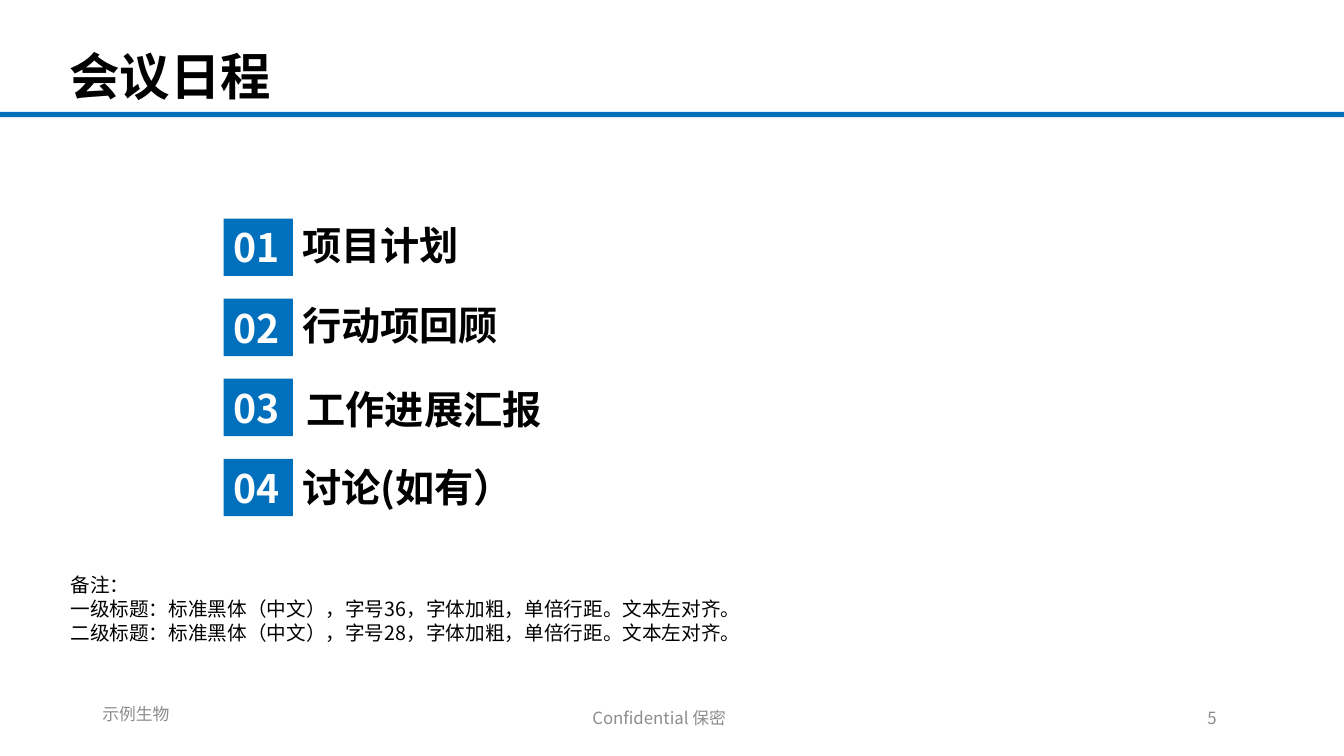
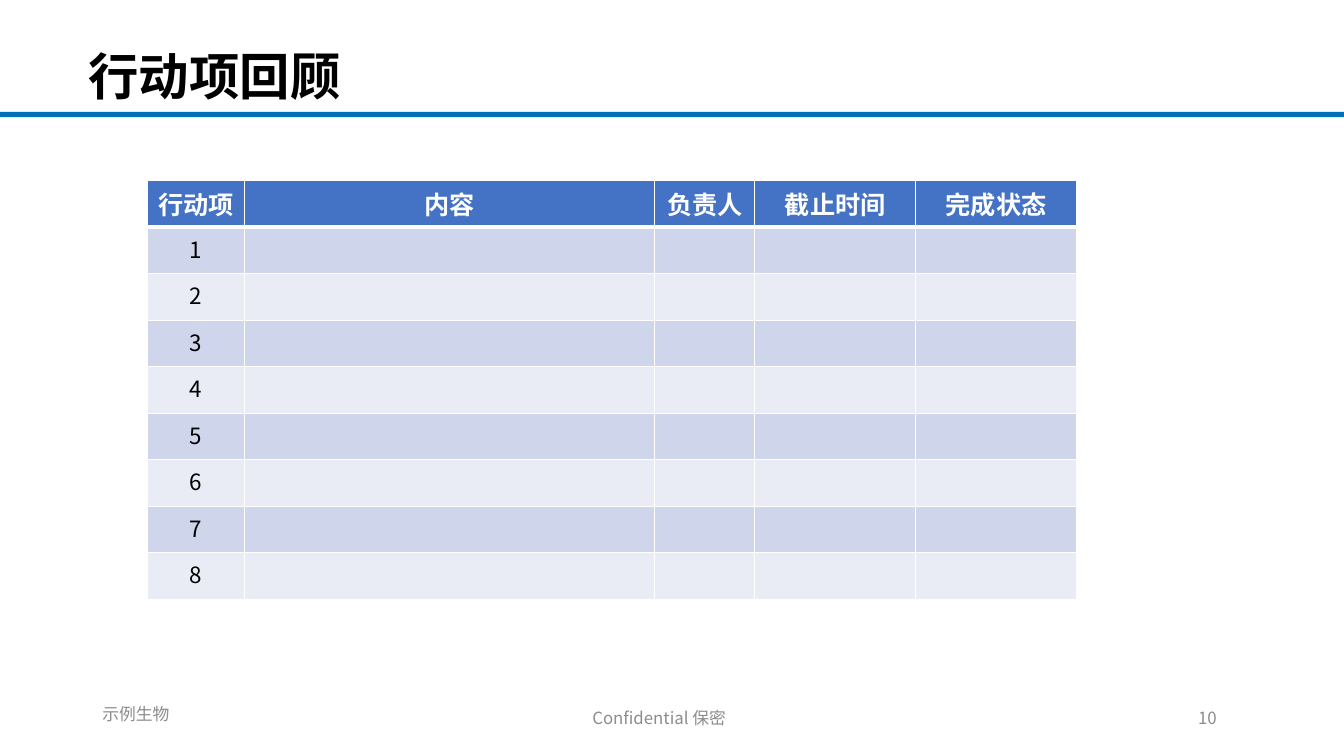
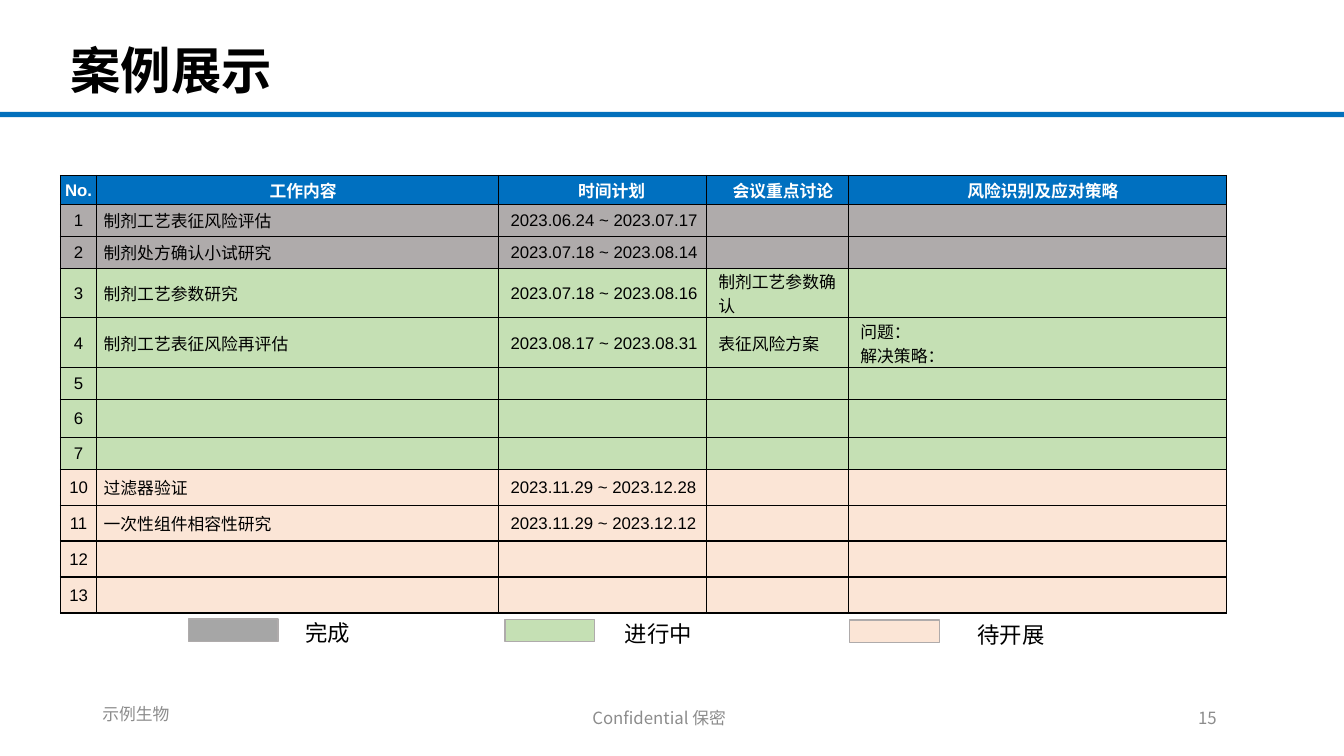
from lxml import etree
from pptx import Presentation
from pptx.dml.color import RGBColor
from pptx.enum import shapes, text
from pptx.oxml import ns
from pptx.util import Pt

COLORS = {
    "bar": "0370BC", "tag": "006FBC", "black": "000000", "white": "FFFFFF",
    "footer": "8C8C8C", "action_head": "4472C4", "band_dark": "CFD5EA",
    "band_light": "E9EBF5", "case_head": "0070C0", "done_row": "AFABAB",
    "done": "A6A6A6", "active": "C5E0B4", "pending": "FBE5D6",
}
CJK, LATIN = "Noto Sans CJK SC", "Arial"
LEFT, CENTER, RIGHT = text.PP_ALIGN.LEFT, text.PP_ALIGN.CENTER, text.PP_ALIGN.RIGHT
TOP, MIDDLE = text.MSO_ANCHOR.TOP, text.MSO_ANCHOR.MIDDLE
WIDTH, HEIGHT = 960, 540

AGENDA = [
    ("项目计划", 0, -1), ("行动项回顾", 0, -0.5),
    ("工作进展汇报", 3.2, 2), ("讨论(如有）", 0, 0.3),
]
NOTE = (
    "备注：\n"
    "一级标题：标准黑体（中文），字号36，字体加粗，单倍行距。文本左对齐。\n"
    "二级标题：标准黑体（中文），字号28，字体加粗，单倍行距。文本左对齐。"
)
ACTION_HEAD = ["行动项", "内容", "负责人", "截止时间", "完成状态"]
CASE_HEAD = ["No.", "工作内容", "时间计划", "会议重点讨论", "风险识别及应对策略"]
CASES = [
    ("done_row", 22.8, "1", "制剂工艺表征风险评估", "2023.06.24 ~ 2023.07.17"),
    ("done_row", 22.8, "2", "制剂处方确认小试研究", "2023.07.18 ~ 2023.08.14"),
    ("active", 35.5, "3", "制剂工艺参数研究", "2023.07.18 ~ 2023.08.16", "制剂工艺参数确认"),
    ("active", 35.5, "4", "制剂工艺表征风险再评估", "2023.08.17 ~ 2023.08.31",
     "表征风险方案", "问题：\n解决策略："),
    ("active", 22.8, "5"),
    ("active", 27, "6"),
    ("active", 22.8, "7"),
    ("pending", 25.7, "10", "过滤器验证", "2023.11.29 ~ 2023.12.28"),
    ("pending", 25.7, "11", "一次性组件相容性研究", "2023.11.29 ~ 2023.12.12"),
    ("pending", 25.7, "12"),
    ("pending", 25.7, "13"),
]
LEGEND = [
    ("完成", "done", 134.6, 211, 0), ("进行中", "active", 360.7, 439.2, 0.7),
    ("待开展", "pending", 607, 691.2, 1.4),
]


def rgb(name):
    """Return the named colour."""
    return RGBColor.from_string(COLORS[name])


def points(values):
    """Convert numbers to point lengths."""
    return [Pt(value) for value in values]


def write(frame, content, size=12, color="black", bold=False, font=CJK, align=LEFT, spacing=None):
    """Fill a text frame, one paragraph for each line of content."""
    for index, line in enumerate(content.split("\n")):
        paragraph = frame.add_paragraph() if index else frame.paragraphs[0]
        paragraph.alignment = align
        if spacing:
            paragraph.line_spacing = spacing
        if not line:
            etree.SubElement(paragraph._p, ns.qn("a:endParaRPr"), sz=str(size * 100))
            continue
        run = paragraph.add_run()
        run.text = line
        run.font.size, run.font.bold, run.font.name = Pt(size), bold, font
        run.font.color.rgb = rgb(color)
        etree.SubElement(run.font._element, ns.qn("a:ea"), typeface=CJK)


def label(slide, box, content, anchor=MIDDLE, **style):
    """Place a wrapped text box."""
    frame = slide.shapes.add_textbox(*points(box)).text_frame
    frame.word_wrap, frame.vertical_anchor = True, anchor
    write(frame, content, **style)


def block(slide, box, fill, line=None):
    """Place a flat rectangle and return it."""
    rectangle = slide.shapes.add_shape(shapes.MSO_SHAPE.RECTANGLE, *points(box))
    rectangle.shadow.inherit = False
    rectangle.fill.solid()
    rectangle.fill.fore_color.rgb = rgb(fill)
    if line:
        rectangle.line.color.rgb, rectangle.line.width = rgb(line), Pt(1)
    else:
        rectangle.line.fill.background()
    return rectangle


def base_slide(deck, title, title_box, number):
    """Add a slide with its title, bar and footers."""
    slide = deck.slides.add_slide(deck.slide_layouts[6])
    block(slide, (0, 80, WIDTH, 3.8), "bar")
    label(slide, title_box, title, size=36, bold=True, spacing=0.9)
    for box, content, align in [
        ((308.9, 498.2, 324, 28.8), "Confidential 保密", CENTER),
        ((66, 495.6, 216, 28.8), "示例生物", LEFT),
        ((660.2, 498.2, 216, 28.8), str(number), RIGHT),
    ]:
        label(slide, box, content, color="footer", align=align)
    return slide


def agenda(slide, box):
    """Place numbered agenda items at equal steps in the box."""
    left, top, width, height = box
    tag_width, tag_height = 49.5, 41
    step = (height - tag_height) / (len(AGENDA) - 1)
    for index, (topic, shift, drop) in enumerate(AGENDA):
        y = top + index * step
        tag = block(slide, (left, y, tag_width, tag_height), "tag").text_frame
        tag.vertical_anchor, tag.word_wrap = MIDDLE, True
        tag.margin_right = 0
        write(tag, f"{index + 1:02}", size=28, color="white", bold=True)
        label(slide, (left + 49 + shift, y + drop, width - 49, 38.9), topic, size=28, bold=True)


def style_cell(cell, fill, borders):
    """Give a cell its fill and its (colour, width) border on each side."""
    properties = cell._tc.get_or_add_tcPr()
    for side, (color, width) in zip("LRTB", borders):
        line = etree.SubElement(properties, ns.qn(f"a:ln{side}"), w=str(Pt(width)))
        solid = etree.SubElement(line, ns.qn("a:solidFill"))
        etree.SubElement(solid, ns.qn("a:srgbClr"), val=COLORS[color])
    cell.fill.solid()
    cell.fill.fore_color.rgb = rgb(fill)


def grid(slide, origin, widths, heights):
    """Add a table at the origin with given column widths and row heights."""
    box = points((*origin, sum(widths), sum(heights)))
    table = slide.shapes.add_table(len(heights), len(widths), *box).table
    for column, width in zip(table.columns, widths):
        column.width = Pt(width)
    for row, height in zip(table.rows, heights):
        row.height = Pt(height)
    return table


def action_table(slide, origin):
    """Place the banded list of action items."""
    widths = [69, 293.4, 71.4, 114.9, 114.9]
    rows = [ACTION_HEAD] + [[str(item), "", "", "", ""] for item in range(1, 9)]
    table = grid(slide, origin, widths, [33.25] * len(rows))
    for r, row in enumerate(rows):
        head = r == 0
        fill = "action_head" if head else ("band_light", "band_dark")[r % 2]
        borders = [("white", width) for width in (1, 1, 3 if r == 1 else 1, 3 if head else 1)]
        for c, content in enumerate(row):
            cell = table.cell(r, c)
            style_cell(cell, fill, borders)
            write(cell.text_frame, content, size=18 if head else 16, bold=head,
                  color="white" if head else "black", align=CENTER)


def case_table(slide, origin):
    """Place the work plan, coloured by status."""
    widths = [25.9, 287, 148.5, 101.5, 270]
    rows = [("case_head", 20.7, *CASE_HEAD)] + CASES
    table = grid(slide, origin, widths, [row[1] for row in rows])
    for r, (fill, _, *contents) in enumerate(rows):
        head = r == 0
        contents += [""] * (len(widths) - len(contents))
        for c, content in enumerate(contents):
            cell = table.cell(r, c)
            style_cell(cell, fill, [("black", 1)] * 4)
            cell.vertical_anchor = MIDDLE
            margins = (0.7 if c == 0 else 8.6, 0.7, 0.7, 0)
            if head and c == 2:
                margins = (14, 0.7, 0.7, 0)
            elif c == 1 and not head:
                margins = (5, 2.9, 5, 2.9)
            (cell.margin_left, cell.margin_top,
             cell.margin_right, cell.margin_bottom) = points(margins)
            write(cell.text_frame, content, bold=head, color="white" if head else "black",
                  font=CJK if c in (1, 3) and not head else LATIN,
                  align=CENTER if head or c == 0 else LEFT)


def legend(slide, top):
    """Place the status swatches and their names."""
    for status, fill, swatch_left, name_left, drop in LEGEND:
        block(slide, (swatch_left, top + 3.6 + drop / 2, 64, 16), fill, line="done_row")
        label(slide, (name_left, top + drop, 80, 26.6), status, anchor=TOP, size=16)


def main():
    """Build and save the deck."""
    deck = Presentation()
    deck.slide_width, deck.slide_height = Pt(WIDTH), Pt(HEIGHT)

    schedule = base_slide(deck, "会议日程", (42.5, 14.4, 831, 85), 5)
    agenda(schedule, (159.8, 156.2, 480, 212.5))
    label(schedule, (43.2, 406, 635, 75), NOTE, anchor=TOP, size=14)

    review = base_slide(deck, "行动项回顾", (56.2, 10, 828, 93), 10)
    action_table(review, (105.4, 129))

    showcase = base_slide(deck, "案例展示", (43.2, 0, 828, 104.4), 15)
    case_table(showcase, (43.2, 125.3))
    legend(showcase, 438.5)

    deck.save("out.pptx")


if __name__ == "__main__":
    main()
